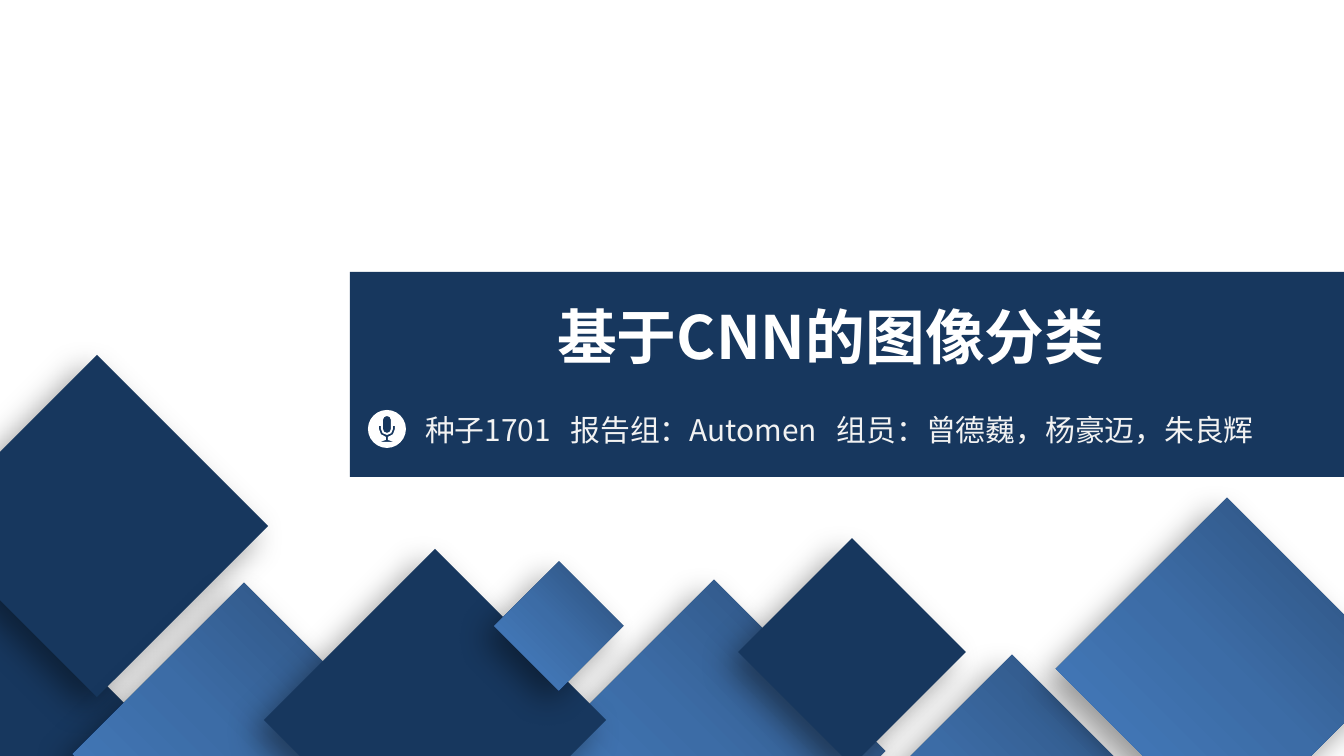
from math import cos, pi, sin

from lxml.etree import SubElement
from pptx import Presentation
from pptx.dml.color import RGBColor
from pptx.enum.shapes import MSO_SHAPE
from pptx.enum.text import MSO_ANCHOR, MSO_AUTO_SIZE, PP_ALIGN
from pptx.oxml.ns import qn
from pptx.util import Pt

SCALE = 914400 / 134.4  # EMU per px
FINE = 100  # icon outline steps per px
FONT = "Noto Sans CJK SC"
COLORS = {
    "navy": "17375E",
    "white": "FFFFFF",
    "pale": "F2F2F2",
    "shadow": "000000",
}
BLUE_STOPS = [(0, "2A4C75"), (50, "3C6CA6"), (100, "4780C5")]

# Centre x, centre y, side, fill; from back to front
DIAMONDS = [
    (-23, 727, 242, "navy"),
    (97, 526, 242, "navy"),
    (244, 754, 242, "blue"),
    (714, 751, 242, "blue"),
    (435, 720, 242, "navy"),
    (852, 652, 161, "navy"),
    (1012, 826, 242, "blue"),
    (1227, 669, 242, "blue"),
    (559, 626, 91, "blue"),
]


def px(length):
    return round(length * SCALE)


def color(name):
    return RGBColor.from_string(COLORS[name])


def fill_plain(shape, name):
    shape.fill.solid()
    shape.fill.fore_color.rgb = color(name)
    shape.line.fill.background()
    shape.shadow.inherit = False


def fill_blue(shape):
    shape.fill.gradient()
    shape.fill.gradient_angle = 270
    stops = shape.element.spPr.find(qn("a:gradFill")).find(qn("a:gsLst"))
    for stop in list(stops):
        stops.remove(stop)
    for percent, value in BLUE_STOPS:
        stop = SubElement(stops, qn("a:gs"), pos=str(percent * 1000))
        SubElement(stop, qn("a:srgbClr"), val=value)


def cast_shadow(shape):
    effects = shape.element.spPr.find(qn("a:effectLst"))
    shadow = SubElement(effects, qn("a:outerShdw"), blurRad=str(px(32)),
                        dist=str(px(17)), dir=str(135 * 60000),
                        algn="ctr", rotWithShape="0")
    tint = SubElement(shadow, qn("a:srgbClr"), val=COLORS["shadow"])
    SubElement(tint, qn("a:alpha"), val="40000")


def write(holder, left, top, width, height, text, size, name, align, bold=False):
    holder.left, holder.top = px(left), px(top)
    holder.width, holder.height = px(width), px(height)
    frame = holder.text_frame
    frame.text = text
    frame.word_wrap = True
    frame.auto_size = MSO_AUTO_SIZE.NONE
    frame.vertical_anchor = MSO_ANCHOR.MIDDLE
    frame.margin_left = frame.margin_right = px(9)
    frame.margin_top = frame.margin_bottom = px(5)
    para = frame.paragraphs[0]
    para.alignment = align
    para.space_before = Pt(0)
    for span in para.runs:
        span.font.size = Pt(size)
        span.font.bold = bold
        span.font.name = FONT
        span.font.color.rgb = color(name)
        SubElement(span.font._element, qn("a:ea"), typeface=FONT)


def arc(x, y, radius, start, end, steps):
    """Points of an arc; angles in degrees, clockwise from the right."""
    angles = [start + (end - start) * step / steps for step in range(steps + 1)]
    return [(x + radius * cos(a * pi / 180), y + radius * sin(a * pi / 180))
            for a in angles]


def add_microphone(slide, left, top, size):
    middle = size / 2
    disc = arc(0, 0, middle, 0, 345, 23)
    capsule = arc(0, -9, 4, 0, -180, 4) + arc(0, 0, 4, 180, 0, 4)
    stand = (
        [(8, -3), (6, -3)] + arc(0, 0, 6, 0, 180, 4) + [(-6, -3), (-8, -3)]
        + arc(0, 0, 8, 180, 97, 2) + [(-1, 11), (-7, 13), (7, 13), (1, 11)]
        + arc(0, 0, 8, 83, 0, 2)
    )
    builder = None
    for outline in (disc, capsule, stand):
        points = [(x * FINE, y * FINE) for x, y in outline]
        if builder is None:
            builder = slide.shapes.build_freeform(*points[0], scale=SCALE / FINE)
        else:
            builder.move_to(*points[0])
        builder.add_line_segments(points[1:], close=True)
    icon = builder.convert_to_shape(px(left + middle), px(top + middle))
    fill_plain(icon, "white")


def add_banner(slide, left, top, width, height):
    band = slide.shapes.add_shape(MSO_SHAPE.RECTANGLE, px(left), px(top),
                                  px(width), px(height))
    fill_plain(band, "navy")
    # Put the band behind the placeholders
    slide.shapes._spTree.insert(2, band.element)

    write(slide.shapes.title, left - 59, top + 21, 1080, 86,
          "基于CNN的图像分类", 32, "white", PP_ALIGN.CENTER, bold=True)
    add_microphone(slide, left + 18, top + 138, 38)
    write(slide.placeholders[1], left + 66, top + 135, 928, 46,
          "种子1701   报告组：Automen   组员：曾德巍，杨豪迈，朱良辉",
          16, "pale", PP_ALIGN.LEFT)


def add_diamonds(slide, left, top):
    for x, y, side, name in DIAMONDS:
        diamond = slide.shapes.add_shape(
            MSO_SHAPE.RECTANGLE, px(left + x - side / 2), px(top + y - side / 2),
            px(side), px(side))
        diamond.rotation = 45
        fill_plain(diamond, "navy")
        if name == "blue":
            fill_blue(diamond)
        cast_shadow(diamond)


def main():
    deck = Presentation()
    deck.slide_width, deck.slide_height = px(1344), px(756)
    slide = deck.slides.add_slide(deck.slide_layouts[0])
    add_banner(slide, 350, 272, 995, 205)
    add_diamonds(slide, 0, 0)
    deck.save("out.pptx")


if __name__ == "__main__":
    main()
